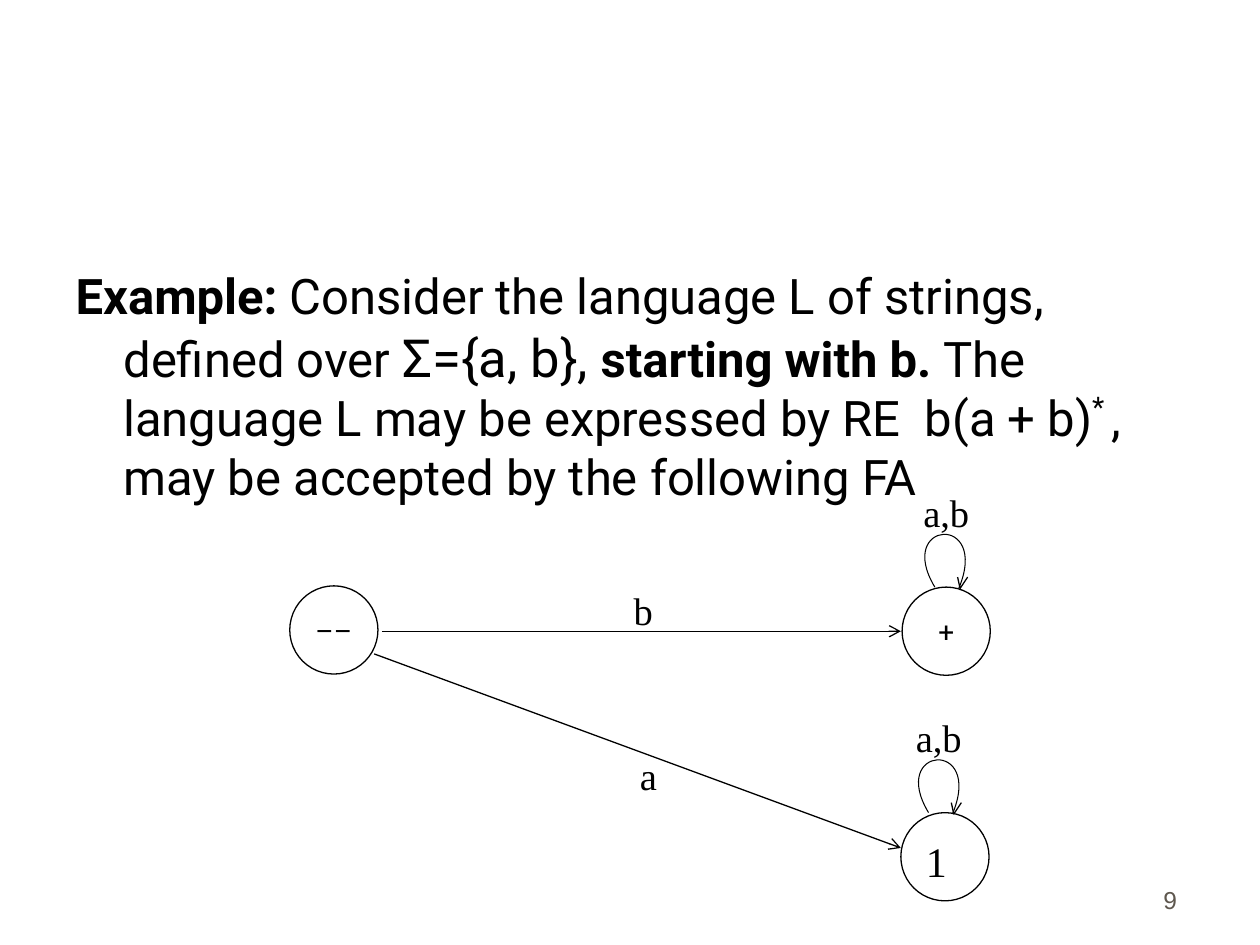
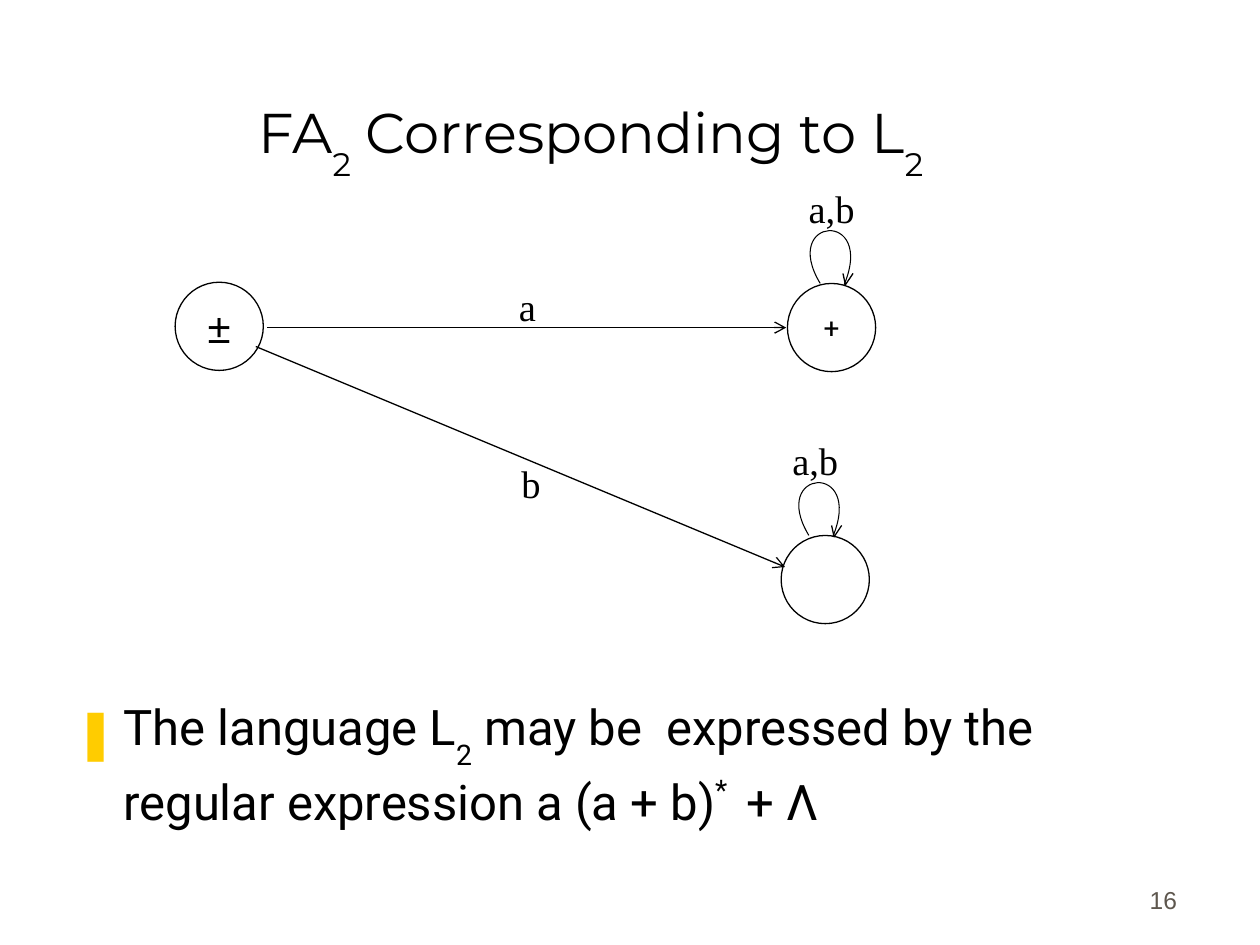
from dataclasses import dataclass

from lxml.etree import SubElement
from pptx import Presentation
from pptx.dml.color import RGBColor
from pptx.enum.shapes import MSO_CONNECTOR, MSO_SHAPE
from pptx.enum.text import MSO_ANCHOR, MSO_AUTO_SIZE, PP_ALIGN
from pptx.oxml.ns import qn
from pptx.util import Inches, Pt


@dataclass(frozen=True)
class Theme:
    ink: RGBColor = RGBColor(0x00, 0x00, 0x00)
    paper: RGBColor = RGBColor(0xFF, 0xFF, 0xFF)
    muted: RGBColor = RGBColor(0x5E, 0x57, 0x4E)
    bullet: str = "FFCC00"
    title_font: str = "Montserrat"
    body_font: str = "Roboto"
    label_font: str = "Times New Roman"
    plain_font: str = "Arial"
    title_size: int = 32
    body_size: int = 28
    alphabet_size: int = 30
    label_size: int = 22
    state_size: int = 24
    sign_size: int = 16
    number_size: int = 14
    line: float = 0.75
    loop_line: float = 0.6


THEME = Theme()
STATE_SIZE = 0.7
SUBSCRIPT, SUPERSCRIPT = -40000, 40000


@dataclass(frozen=True)
class Span:
    text: str
    bold: bool = False
    size: int = 0
    baseline: int = 0


@dataclass(frozen=True)
class Automaton:
    """Start state's corner and symbol; other pairs are offsets from that corner."""
    left: float
    top: float
    symbol: str
    symbol_font: str
    symbol_size: int
    accept_letter: str
    reject_letter: str
    reject_letter_at: tuple
    reject_arrow: tuple
    reject_state: tuple
    reject_label_shift: float


def style(para, font, size, color=THEME.ink, align=PP_ALIGN.LEFT):
    para.alignment = align
    para.font.name = font
    para.font.size = Pt(size)
    para.font.color.rgb = color


def write_spans(para, spans):
    for span in spans:
        run = para.add_run()
        run.text = span.text
        if span.bold:
            run.font.bold = True
        if span.size:
            run.font.size = Pt(span.size)
        if span.baseline:
            run._r.get_or_add_rPr().set("baseline", str(span.baseline))


def place(shape, left, top, width, height):
    shape.left, shape.top = Inches(left), Inches(top)
    shape.width, shape.height = Inches(width), Inches(height)
    shape.text_frame.auto_size = MSO_AUTO_SIZE.NONE


def set_title(page, spans):
    title = page.shapes.title
    place(title, 0.44, 0.25, 8.5, 1.25)
    title.text_frame.vertical_anchor = MSO_ANCHOR.BOTTOM
    para = title.text_frame.paragraphs[0]
    style(para, THEME.title_font, THEME.title_size, align=PP_ALIGN.CENTER)
    write_spans(para, spans)


def set_body(page, top, height, spans, bullet=None):
    body = page.placeholders[1]
    place(body, 0.5, top, 8.94, height)
    para = body.text_frame.paragraphs[0]
    style(para, THEME.body_font, THEME.body_size)
    para.space_before = Pt(7)
    props = para._p.get_or_add_pPr()
    props.set("marL", str(Inches(0.38)))
    props.set("indent", str(-Inches(0.38)))
    defaults = props.find(qn("a:defRPr"))
    if bullet:
        color = props.makeelement(qn("a:buClr"), {})
        SubElement(color, qn("a:srgbClr"), val=THEME.bullet)
        defaults.addprevious(color)
        defaults.addprevious(props.makeelement(qn("a:buChar"), {"char": bullet}))
    else:
        defaults.addprevious(props.makeelement(qn("a:buNone"), {}))
    write_spans(para, spans)


def add_text(page, text, left, top, width=1.37, height=0.51,
             font=THEME.label_font, size=THEME.label_size,
             color=THEME.ink, align=PP_ALIGN.LEFT):
    box = page.shapes.add_textbox(
        Inches(left), Inches(top), Inches(width), Inches(height))
    box.text_frame.word_wrap = True
    para = box.text_frame.paragraphs[0]
    para.text = text
    style(para, font, size, color, align)
    return box


def add_page_number(page, number):
    box = add_text(page, number, 7.36, 6.81, 2.08, 0.5, THEME.plain_font,
                   THEME.number_size, THEME.muted, PP_ALIGN.RIGHT)
    box.text_frame.vertical_anchor = MSO_ANCHOR.BOTTOM


def set_line(shape, width=THEME.line):
    shape.line.color.rgb = THEME.ink
    shape.line.width = Pt(width)


def add_state(page, left, top, symbol="", font=THEME.body_font,
              size=THEME.sign_size):
    state = page.shapes.add_shape(MSO_SHAPE.OVAL, Inches(left), Inches(top),
                                  Inches(STATE_SIZE), Inches(STATE_SIZE))
    state.shadow.inherit = False
    state.fill.solid()
    state.fill.fore_color.rgb = THEME.paper
    set_line(state)
    frame = state.text_frame
    frame.margin_left = frame.margin_right = 0
    frame.margin_top = frame.margin_bottom = 0
    frame.vertical_anchor = MSO_ANCHOR.MIDDLE
    if symbol:
        frame.text = symbol
        style(frame.paragraphs[0], font, size, align=PP_ALIGN.CENTER)


def add_arrow(page, start, end):
    arrow = page.shapes.add_connector(
        MSO_CONNECTOR.STRAIGHT, *(Inches(value) for value in (*start, *end)))
    set_line(arrow)
    SubElement(arrow.line._get_or_add_ln(), qn("a:tailEnd"), type="arrow")
    SubElement(arrow._element.spPr, qn("a:effectLst"))


def add_outline(page, points, width):
    points = [(Inches(x), Inches(y)) for x, y in points]
    builder = page.shapes.build_freeform(*points[0])
    builder.add_line_segments(points[1:], close=False)
    outline = builder.convert_to_shape()
    outline.shadow.inherit = False
    outline.fill.background()
    set_line(outline, width)
    return outline


def add_loop(page, x, y):
    """Draw a loop that leaves a state at (x, y) and returns with an arrowhead."""
    curve = [(0, 0), (-0.32, -0.53), (0.44, -0.59), (0.19, 0.01)]
    head = [(0.18, -0.08), (0.2, 0.01), (0.26, -0.08)]
    loop = add_outline(page, [(x + dx, y + dy) for dx, dy in curve],
                       THEME.loop_line)
    segments = list(loop._element.iter(qn("a:lnTo")))
    bezier = SubElement(segments[0].getparent(), qn("a:cubicBezTo"))
    for segment in segments:
        bezier.append(segment[0])
        segment.getparent().remove(segment)
    add_outline(page, [(x + dx, y + dy) for dx, dy in head], THEME.line)


def add_looped_state(page, left, top, loop_shift, label_shift, symbol=""):
    add_state(page, left, top, symbol)
    add_loop(page, left + loop_shift, top)
    add_text(page, "a,b", left + label_shift, top - 0.83)


def add_automaton(page, machine):
    def at(dx, dy):
        return machine.left + dx, machine.top + dy

    add_state(page, *at(0, 0), machine.symbol, machine.symbol_font,
              machine.symbol_size)
    add_looped_state(page, *at(4.86, 0.01), 0.26, 0.07, "+")
    add_looped_state(page, *at(*machine.reject_state), 0.22,
                     machine.reject_label_shift)
    add_arrow(page, at(0.73, 0.36), at(4.85, 0.36))
    add_text(page, machine.accept_letter, *at(2.63, -0.04))
    start, end = machine.reject_arrow
    add_arrow(page, at(*start), at(*end))
    add_text(page, machine.reject_letter, *at(*machine.reject_letter_at))


def build_example(page):
    title = page.shapes.title._element
    title.getparent().remove(title)
    set_body(page, 2.06, 5.19, [
        Span("Example: ", bold=True),
        Span("Consider the language L of strings, defined over "),
        Span("Σ={a, b},", size=THEME.alphabet_size),
        Span(" "),
        Span("starting with b. ", bold=True),
        Span("The language L may be expressed by RE  b(a + b)"),
        Span("* ", baseline=SUPERSCRIPT),
        Span(", may be accepted by the following FA"),
    ])
    add_automaton(page, Automaton(
        left=2.3, top=4.65, symbol="––", symbol_font=THEME.body_font,
        symbol_size=THEME.sign_size, accept_letter="b", reject_letter="a",
        reject_letter_at=(2.68, 1.27),
        reject_arrow=((0.67, 0.54), (4.85, 2.08)),
        reject_state=(4.85, 1.8), reject_label_shift=0.02))
    add_text(page, "1", 7.25, 6.58, size=THEME.state_size)
    add_page_number(page, "9")


def build_second_automaton(page):
    set_title(page, [
        Span("FA"), Span("2", baseline=SUBSCRIPT),
        Span(" Corresponding to L"), Span("2", baseline=SUBSCRIPT),
    ])
    set_body(page, 5.48, 1.3, [
        Span("The language L"), Span("2", baseline=SUBSCRIPT),
        Span(" may be  expressed by the regular expression a (a + b)"),
        Span("* ", baseline=SUPERSCRIPT), Span(" + Λ"),
    ], bullet="❚")
    add_automaton(page, Automaton(
        left=1.39, top=2.24, symbol="±", symbol_font=THEME.plain_font,
        symbol_size=THEME.state_size, accept_letter="a", reject_letter="b",
        reject_letter_at=(2.65, 1.36),
        reject_arrow=((0.64, 0.51), (4.84, 2.26)),
        reject_state=(4.81, 2.01), reject_label_shift=-0.01))
    add_page_number(page, "16")


def main():
    deck = Presentation()
    deck.slide_width, deck.slide_height = Inches(10), Inches(7.5)
    for build in (build_example, build_second_automaton):
        build(deck.slides.add_slide(deck.slide_layouts[1]))
    deck.save("out.pptx")


if __name__ == "__main__":
    main()
